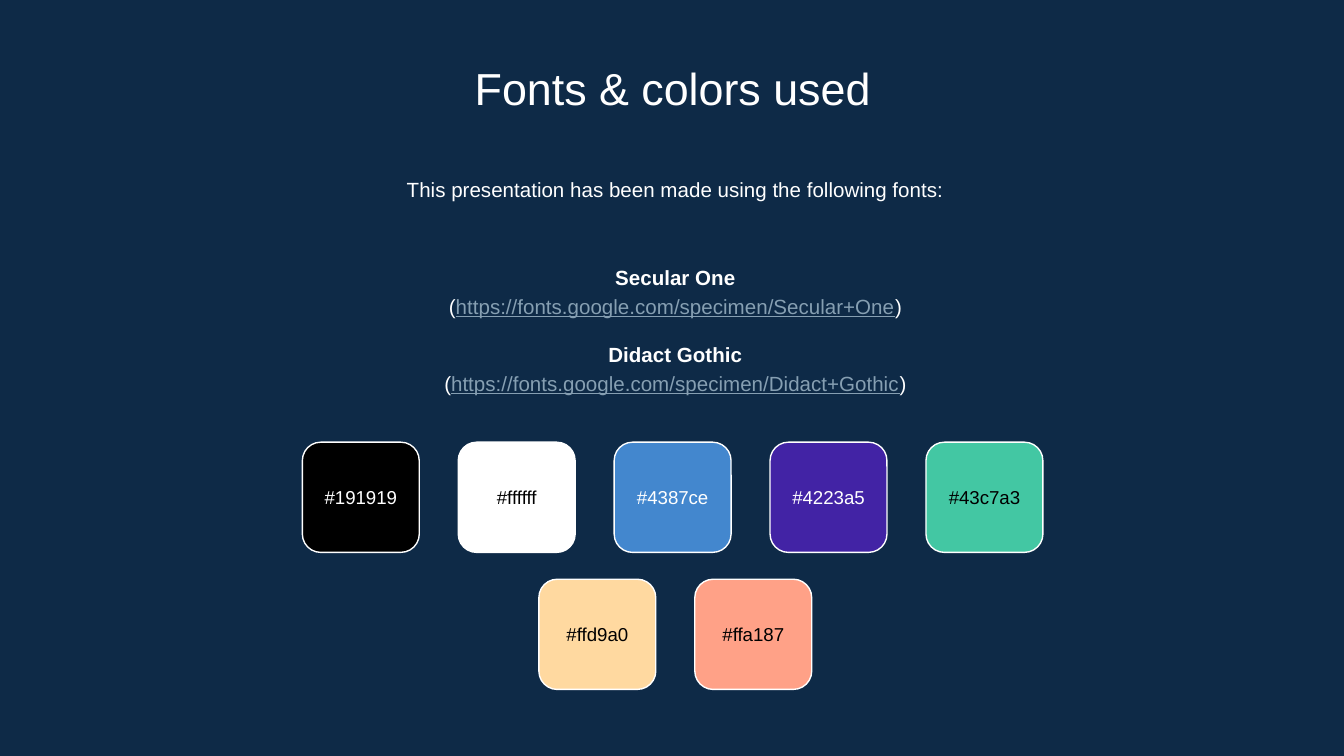
from pptx import Presentation
from pptx.dml.color import RGBColor
from pptx.enum.shapes import MSO_SHAPE
from pptx.enum.text import MSO_ANCHOR, MSO_AUTO_SIZE, PP_ALIGN
from pptx.util import Inches, Pt

ROUND_RECT = MSO_SHAPE.ROUNDED_RECTANGLE
TOP, MIDDLE = MSO_ANCHOR.TOP, MSO_ANCHOR.MIDDLE
NO_FIT = MSO_AUTO_SIZE.NONE
CENTER = PP_ALIGN.CENTER

NAVY = RGBColor(0x0E, 0x2A, 0x47)
WHITE = RGBColor(0xFF, 0xFF, 0xFF)
BLACK = RGBColor(0x00, 0x00, 0x00)
BLUE = RGBColor(0x43, 0x87, 0xCE)
PURPLE = RGBColor(0x42, 0x23, 0xA5)
GREEN = RGBColor(0x43, 0xC7, 0xA3)
SAND = RGBColor(0xFF, 0xD9, 0xA0)
CORAL = RGBColor(0xFF, 0xA1, 0x87)
LINK = RGBColor(0x86, 0x9F, 0xB2)

FONTS = [
    ("Secular One", "https://fonts.google.com/specimen/Secular+One"),
    ("Didact Gothic", "https://fonts.google.com/specimen/Didact+Gothic"),
]
SWATCH_ROWS = [
    (2.25, 3.29, [
        ("#191919", BLACK, WHITE),
        ("#ffffff", WHITE, BLACK),
        ("#4387ce", BLUE, WHITE),
        ("#4223a5", PURPLE, WHITE),
        ("#43c7a3", GREEN, BLACK),
    ]),
    (4.01, 4.31, [
        ("#ffd9a0", SAND, BLACK),
        ("#ffa187", CORAL, BLACK),
    ]),
]
SWATCH_W, SWATCH_H, SWATCH_STEP = 0.87, 0.82, 1.16
LABEL_H = 0.48


class SlideBuilder:
    font = "Arial"
    inset = Inches(0.1)
    line_spacing = 1.15

    def __init__(self, slide):
        self.slide = slide
        fill = slide.background.fill
        fill.solid()
        fill.fore_color.rgb = NAVY

    def frame(self, sp, anchor):
        tf = sp.text_frame
        tf.word_wrap = True
        tf.auto_size = NO_FIT
        tf.vertical_anchor = anchor
        tf.margin_left = tf.margin_right = self.inset
        tf.margin_top = tf.margin_bottom = self.inset
        return tf

    def style(self, r, size, color, bold=False, underline=False):
        r.font.name = self.font
        r.font.size = Pt(size)
        r.font.color.rgb = color
        r.font.bold = bold
        r.font.underline = underline

    def title(self, text, x, y, w, h):
        sp = self.slide.shapes.title
        sp.left, sp.top = Inches(x), Inches(y)
        sp.width, sp.height = Inches(w), Inches(h)
        tf = self.frame(sp, TOP)
        tf.text = text
        p = tf.paragraphs[0]
        p.alignment = CENTER
        self.style(p.runs[0], 24, WHITE)

    def box(self, x, y, w, h, anchor):
        sp = self.slide.shapes.add_textbox(Inches(x), Inches(y), Inches(w), Inches(h))
        return self.frame(sp, anchor)

    def text(self, text, x, y, w, h, size, color, anchor=MIDDLE, spacing=None):
        tf = self.box(x, y, w, h, anchor)
        tf.text = text
        p = tf.paragraphs[0]
        p.alignment = CENTER
        p.line_spacing = spacing
        self.style(p.runs[0], size, color)

    def font_list(self, fonts, x, y, w, h):
        tf = self.box(x, y, w, h, MIDDLE)
        for i, (name, url) in enumerate(fonts):
            heading = tf.add_paragraph() if i else tf.paragraphs[0]
            if i:
                heading.space_before = Pt(11)
            heading.text = name
            self.style(heading.runs[0], 11, WHITE, bold=True)
            address = tf.add_paragraph()
            for part in ("(", url, ")"):
                r = address.add_run()
                r.text = part
                is_url = part == url
                self.style(r, 11, LINK if is_url else WHITE, underline=is_url)
            for p in (heading, address):
                p.alignment = CENTER
                p.line_spacing = self.line_spacing

    def swatch(self, label, x, y, fill, color):
        sp = self.slide.shapes.add_shape(
            ROUND_RECT, Inches(x), Inches(y), Inches(SWATCH_W), Inches(SWATCH_H))
        sp.shadow.inherit = False
        sp.fill.solid()
        sp.fill.fore_color.rgb = fill
        sp.line.color.rgb = WHITE
        sp.line.width = Pt(0.75)
        label_y = y + (SWATCH_H - LABEL_H) / 2
        self.text(label, x, label_y, SWATCH_W, LABEL_H, 10, color)


def main():
    prs = Presentation()
    prs.slide_width = Inches(10)
    prs.slide_height = prs.slide_width * 9 // 16
    s = SlideBuilder(prs.slides.add_slide(prs.slide_layouts[5]))
    s.title("Fonts & colors used", 1.15, 0.35, 7.71, 0.53)
    s.text("This presentation has been made using the following fonts:",
           1.17, 1.19, 7.71, 0.48, 11, WHITE, TOP, s.line_spacing)
    s.font_list(FONTS, 1.17, 1.76, 7.71, 1.37)
    for x, y, swatches in SWATCH_ROWS:
        for i, (label, fill, color) in enumerate(swatches):
            s.swatch(label, x + i * SWATCH_STEP, y, fill, color)
    prs.save("out.pptx")


if __name__ == "__main__":
    main()
